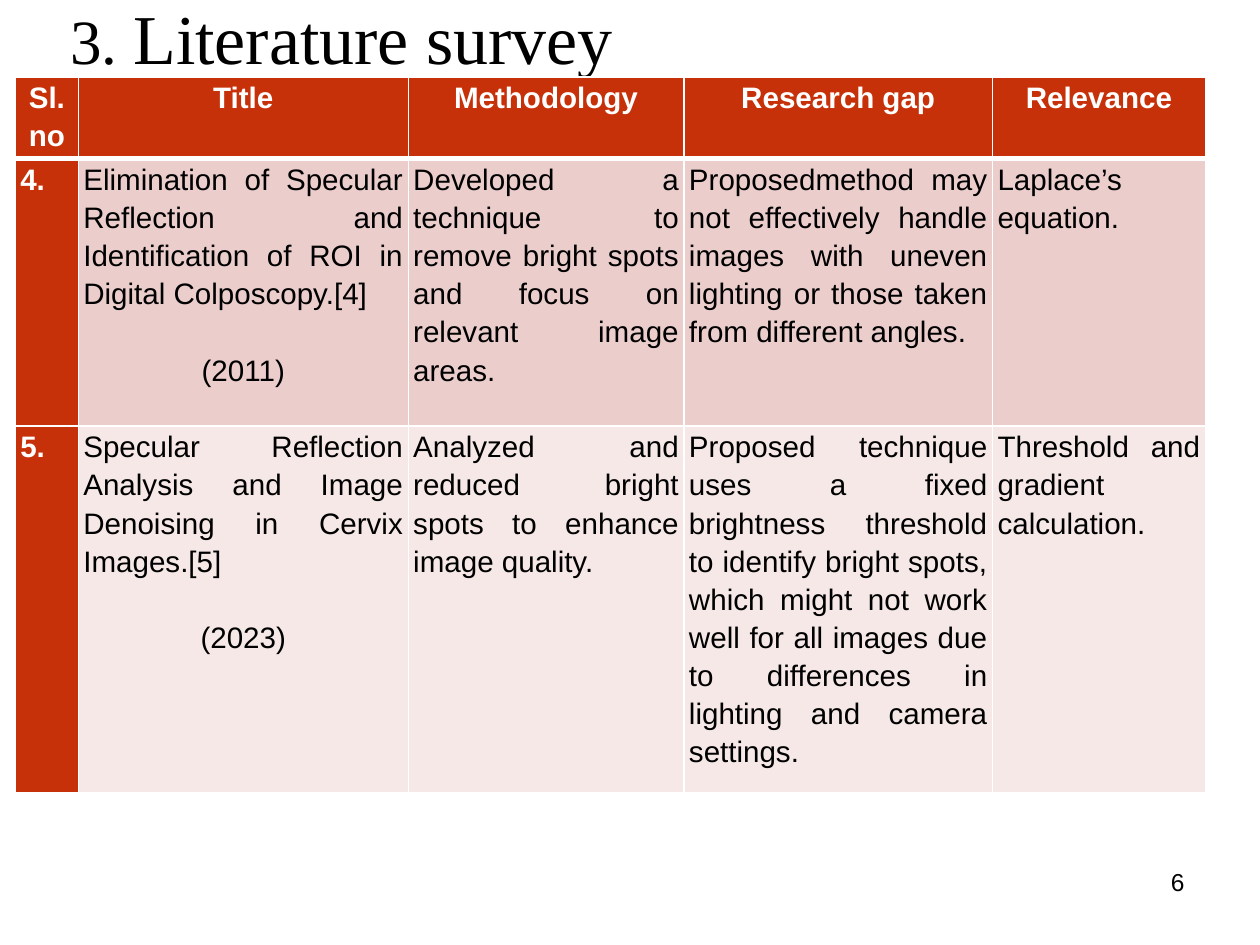
from lxml.etree import SubElement
from pptx import Presentation
from pptx.dml.color import RGBColor
from pptx.enum.text import MSO_ANCHOR, PP_ALIGN
from pptx.oxml.ns import qn
from pptx.util import Cm, Pt

WHITE = RGBColor(0xFF, 0xFF, 0xFF)
BLACK = RGBColor(0, 0, 0)
RED = RGBColor(0xC7, 0x31, 0x09)
ROSE = RGBColor(0xEB, 0xCE, 0xCC)
PALE = RGBColor(0xF5, 0xE8, 0xE7)

COLS = [1.27, 6.65, 5.56, 6.22, 4.29]
ROWS = [1.53, 5.39, 6.91]
DATA = [
    ["Sl.no", "Title", "Methodology", "Research gap", "Relevance"],
    ["4.",
     "Elimination of Specular Reflection and Identification of ROI in Digital Colposcopy.[4]\n(2011)",
     "Developed a technique to remove bright spots and focus on relevant image areas.",
     "Proposedmethod may not effectively handle images with uneven lighting or those taken from different angles.",
     "Laplace’s equation."],
    ["5.",
     "Specular Reflection Analysis and Image Denoising in Cervix Images.[5]\n(2023)",
     "Analyzed and reduced bright spots to enhance image quality.",
     "Proposed technique uses a fixed brightness threshold to identify bright spots, "
     "which might not work well for all images due to differences in lighting and camera settings.",
     "Threshold and gradient calculation."],
]


def style(run, face, size, color, bold=False):
    """Set the font of one run."""
    font = run.font
    font.name, font.size, font.bold = face, Pt(size), bold
    font.color.rgb = color


def edge(cell, widths):
    """Draw white borders, with widths in points for left, right, top, bottom."""
    props = cell._tc.get_or_add_tcPr()
    for at, (side, width) in enumerate(zip("LRTB", widths)):
        line = SubElement(props, qn(f"a:ln{side}"), w=str(Pt(width)))
        fill = SubElement(line, qn("a:solidFill"))
        SubElement(fill, qn("a:srgbClr"), val=str(WHITE))
        props.insert(at, line)


def fill_cell(cell, text, row, col):
    """Write and format one table cell."""
    head = row == 0
    strong = head or col == 0
    cell.margin_left = cell.margin_right = Cm(0.1)
    cell.margin_top = cell.margin_bottom = 0
    cell.fill.solid()
    cell.fill.fore_color.rgb = RED if strong else (ROSE, PALE)[row - 1]
    edge(cell, [1, 1, 3 if row == 1 else 1, 3 if head else 1])
    cell.text_frame.text = text
    for nth, para in enumerate(cell.text_frame.paragraphs):
        para.alignment = PP_ALIGN.CENTER if head or nth else PP_ALIGN.JUSTIFY
        para.line_spacing = 1.15
        if nth:
            para.space_before = Pt(22)
        for run in para.runs:
            style(run, "Arial", 16.9, WHITE if strong else BLACK, strong)


def add_survey(slide, left, top):
    """Place the survey table with its corner at the given point."""
    shape = slide.shapes.add_table(
        len(ROWS), len(COLS), Cm(left), Cm(top), Cm(sum(COLS)), Cm(sum(ROWS)))
    table = shape.table
    for col, width in zip(table.columns, COLS):
        col.width = Cm(width)
    for row, height in zip(table.rows, ROWS):
        row.height = Cm(height)
    for row, line in enumerate(DATA):
        for col, text in enumerate(line):
            fill_cell(table.cell(row, col), text, row, col)


def add_title(slide, left, top, width, height):
    """Place the numbered heading in the given box."""
    box = slide.shapes.add_textbox(Cm(left), Cm(top), Cm(width), Cm(height))
    frame = box.text_frame
    frame.word_wrap = True
    frame.vertical_anchor = MSO_ANCHOR.MIDDLE
    frame.margin_left = Cm(1.19)
    for text, size in [("3. ", 36), ("Literature survey", 40)]:
        run = frame.paragraphs[0].add_run()
        run.text = text
        style(run, "Times New Roman", size, BLACK)


def add_number(slide, left, top, width, height):
    """Place the page number at the right of the given box."""
    box = slide.shapes.add_textbox(Cm(left), Cm(top), Cm(width), Cm(height))
    frame = box.text_frame
    frame.word_wrap = True
    frame.text = "6"
    para = frame.paragraphs[0]
    para.alignment = PP_ALIGN.RIGHT
    style(para.runs[0], "Arial", 14, BLACK)


def main():
    """Build and save the slide."""
    deck = Presentation()
    deck.slide_width, deck.slide_height = Cm(25.4), Cm(19.05)
    slide = deck.slides.add_slide(deck.slide_layouts[6])
    add_title(slide, 0.23, -0.08, 22.86, 1.63)
    add_number(slide, 18.21, 17.35, 5.92, 1.32)
    add_survey(slide, 0.31, 1.55)
    deck.save("out.pptx")


if __name__ == "__main__":
    main()
